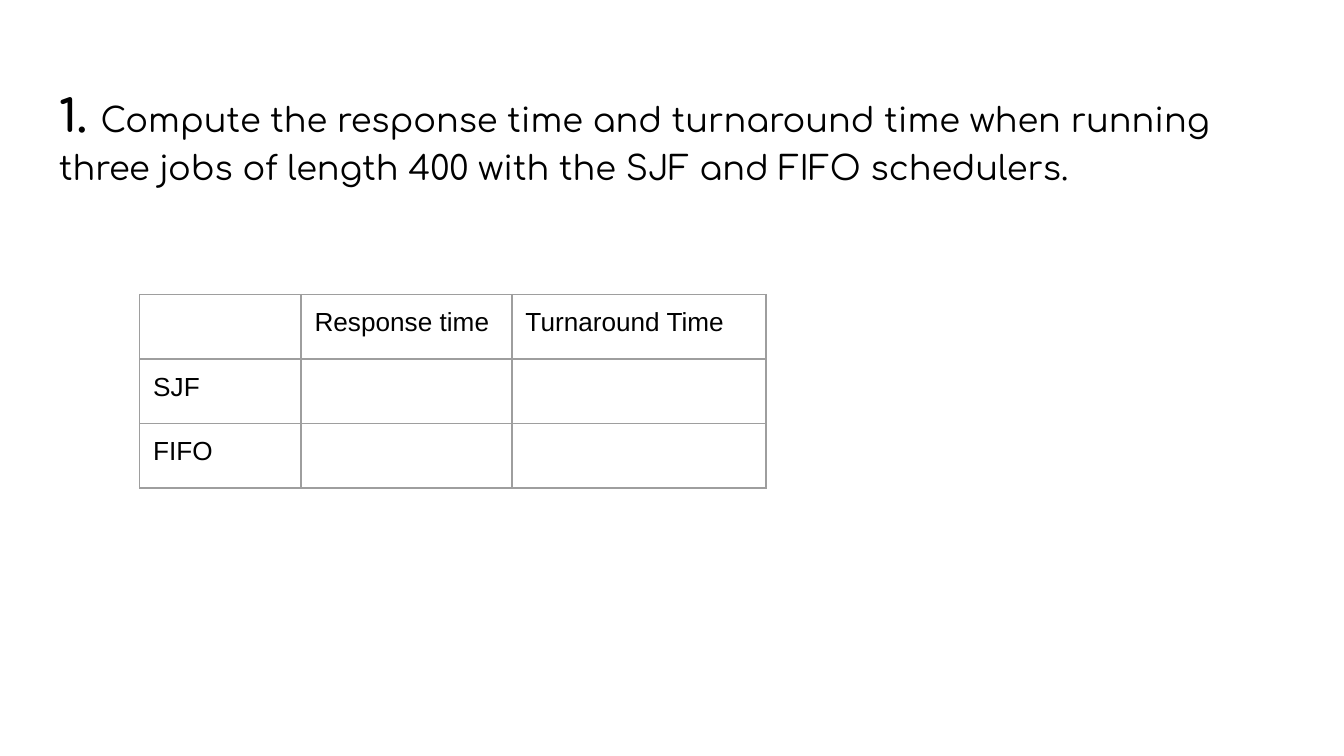
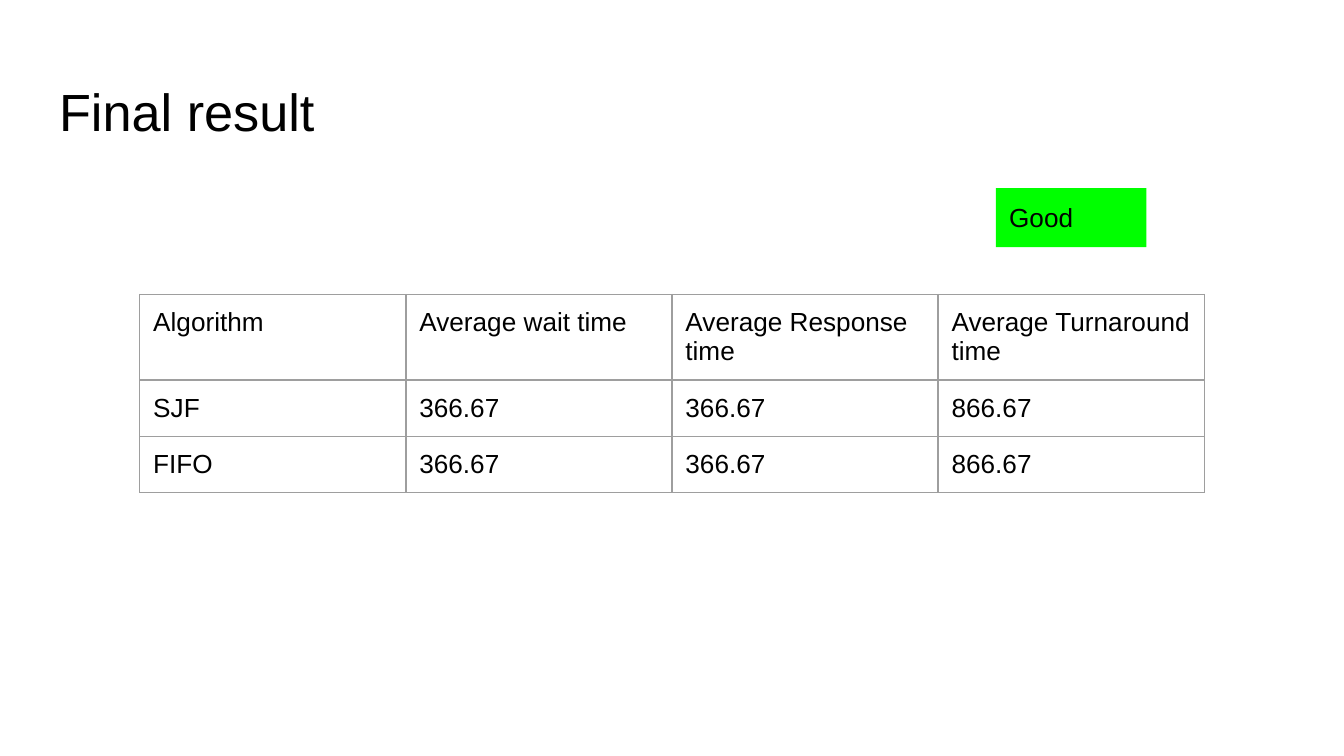
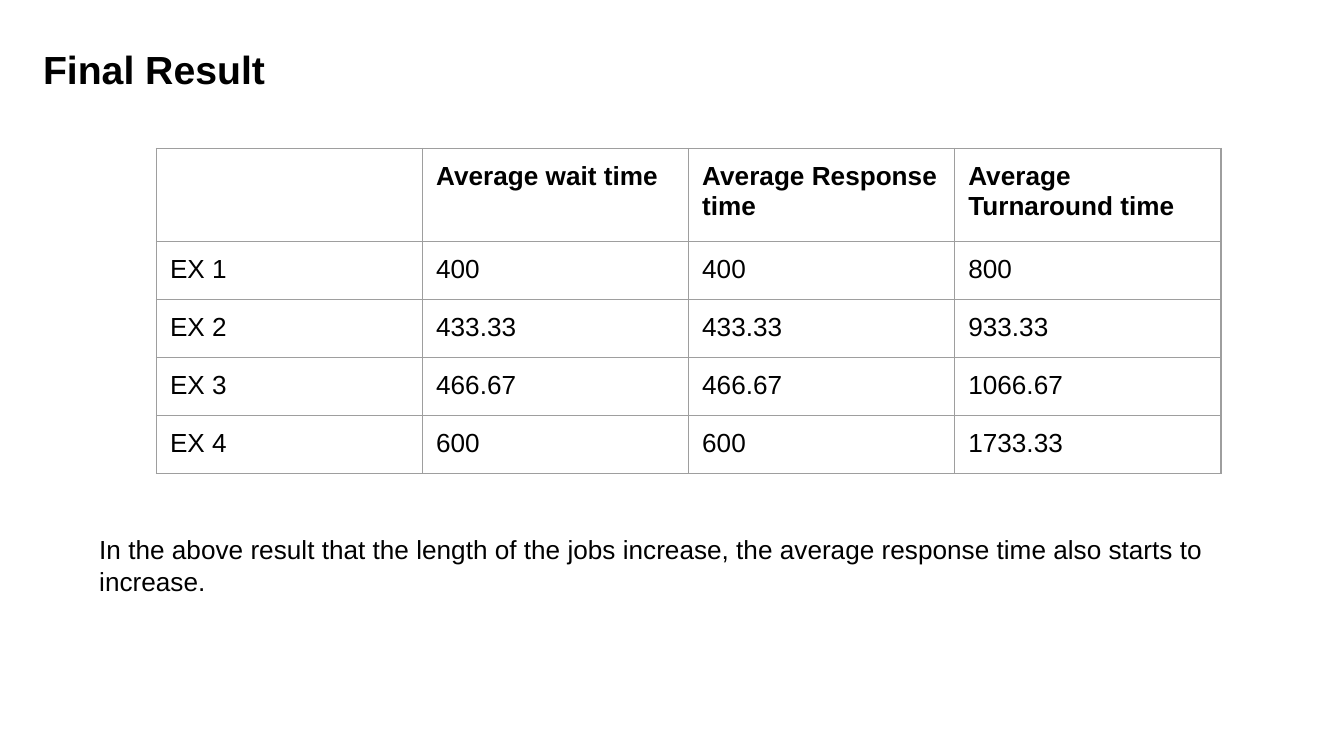
from lxml import etree
from pptx import Presentation, util as u
from pptx.dml.color import RGBColor
from pptx.enum import shapes, text
from pptx.oxml.ns import qn

BLACK = RGBColor(0x00, 0x00, 0x00)
GREEN = RGBColor(0x00, 0xFF, 0x00)
RULE = RGBColor(0x9E, 0x9E, 0x9E)

# The slide is a grid of square cells, 100 columns wide.
COLUMNS, ROWS = 100, 56.25
CELL = u.Inches(0.1)
INSET = 1
RULE_WIDTH = u.Pt(0.75)

BODY = {"name": "Arial", "size": u.Pt(14), "bold": False}
HEADING = BODY | {"bold": True}
TITLE = BODY | {"size": u.Pt(28)}
SUMMARY_TITLE = HEADING | {"size": u.Pt(21)}
QUESTION = {"name": "Comfortaa", "size": u.Pt(18), "bold": False}
QUESTION_NUMBER = QUESTION | {"size": u.Pt(24), "bold": True}

TITLE_BOX = (3.4, 4.9, 93.2, 6.3)
QUESTION_BOX = (3.4, 4.9, 93.2, 34.1)
TABLE_CORNER = (10.4, 21.9)
AVERAGES = ["Average wait time", "Average Response time", "Average Turnaround time"]
AVERAGE_COLUMNS = [19.8] * 4


def cells(count):
    return u.Emu(round(count * CELL))


def set_insets(holder):
    for side in ("left", "top", "right", "bottom"):
        setattr(holder, f"margin_{side}", cells(INSET))


def add_runs(paragraph, runs):
    """Append (words, font format) runs to a paragraph."""
    paragraph.alignment = text.PP_ALIGN.LEFT
    for words, font_format in runs:
        run = paragraph.add_run()
        run.text = words
        run.font.color.rgb = BLACK
        for attribute, value in font_format.items():
            setattr(run.font, attribute, value)


def write(frame, runs, line_spacing=1.0, auto_size=text.MSO_AUTO_SIZE.NONE):
    frame.word_wrap = True
    frame.auto_size = auto_size
    frame.vertical_anchor = text.MSO_ANCHOR.TOP
    set_insets(frame)
    frame.paragraphs[0].line_spacing = line_spacing
    add_runs(frame.paragraphs[0], runs)


def titled_slide(deck, box, runs, line_spacing=1.0):
    slide = deck.slides.add_slide(deck.slide_layouts[5])
    title = slide.shapes.title
    for attribute, length in zip(("left", "top", "width", "height"), box):
        setattr(title, attribute, cells(length))
    write(title.text_frame, runs, line_spacing)
    return slide


def rule_cell(cell):
    """Draw the four borders of a table cell and clear its fill."""
    properties = cell._tc.get_or_add_tcPr()
    for edge in ("a:lnL", "a:lnR", "a:lnT", "a:lnB"):
        line = etree.SubElement(properties, qn(edge), w=str(RULE_WIDTH))
        solid = etree.SubElement(line, qn("a:solidFill"))
        etree.SubElement(solid, qn("a:srgbClr"), val=str(RULE))
    cell.fill.background()


def size_empty_line(paragraph):
    """Give an empty cell the line height of 18-point Arial."""
    end = etree.SubElement(paragraph._p, qn("a:endParaRPr"), sz="1800")
    etree.SubElement(end, qn("a:latin"), typeface=BODY["name"])


def results_table(slide, corner, widths, heights, content, header=BODY):
    left, top = corner
    table = slide.shapes.add_table(
        len(heights), len(widths), cells(left), cells(top),
        cells(sum(widths)), cells(sum(heights))).table
    table.first_row = table.horz_banding = False
    for column, width in zip(table.columns, widths):
        column.width = cells(width)
    for row, height, entries in zip(table.rows, heights, content):
        row.height = cells(height)
        font_format = header if entries is content[0] else BODY
        for cell, entry in zip(row.cells, entries):
            rule_cell(cell)
            set_insets(cell)
            paragraph = cell.text_frame.paragraphs[0]
            if entry:
                add_runs(paragraph, [(entry, font_format)])
            else:
                size_empty_line(paragraph)


def verdict(slide, words, box):
    label = slide.shapes.add_shape(shapes.MSO_SHAPE.RECTANGLE, *map(cells, box))
    label.shadow.inherit = False
    label.fill.solid()
    label.fill.fore_color.rgb = GREEN
    label.line.fill.background()
    write(label.text_frame, [(words, BODY)],
          auto_size=text.MSO_AUTO_SIZE.SHAPE_TO_FIT_TEXT)


def conclusion(slide, words, box):
    note = slide.shapes.add_textbox(*map(cells, box))
    write(note.text_frame, [(words, BODY)],
          auto_size=text.MSO_AUTO_SIZE.SHAPE_TO_FIT_TEXT)


def question_slide(deck):
    slide = titled_slide(deck, QUESTION_BOX, [
        ("1. ", QUESTION_NUMBER),
        ("Compute the response time and turnaround time when running three jobs "
         "of length 400 with the SJF and FIFO schedulers.", QUESTION),
    ], line_spacing=1.15)
    results_table(slide, TABLE_CORNER, [12, 15.7, 18.9], [4.3] * 3, [
        ["", "Response time", "Turnaround Time"],
        ["SJF", "", ""],
        ["FIFO", "", ""],
    ])


def scheduler_result_slide(deck):
    slide = titled_slide(deck, TITLE_BOX, [("Final result", TITLE)])
    averages = ["366.67", "366.67", "866.67"]
    results_table(slide, TABLE_CORNER, AVERAGE_COLUMNS, [4.2] * 3, [
        ["Algorithm", *AVERAGES],
        ["SJF", *averages],
        ["FIFO", *averages],
    ])
    verdict(slide, "Good", (74.1, 14, 11.2, 4.4))


def summary_slide(deck):
    slide = titled_slide(deck, (2.2, 2.4, 51.7, 5.6), [("Final Result", SUMMARY_TITLE)])
    results_table(slide, (11.65, 11.05), AVERAGE_COLUMNS, [6.9] + [4.33] * 4, [
        ["", *AVERAGES],
        ["EX 1", "400", "400", "800"],
        ["EX 2", "433.33", "433.33", "933.33"],
        ["EX 3", "466.67", "466.67", "1066.67"],
        ["EX 4", "600", "600", "1733.33"],
    ], header=HEADING)
    conclusion(slide, "In the above result that the length of the jobs increase, "
               "the average response time also starts to increase.",
               (6.4, 38.7, 85.3, 6.7))


def main():
    deck = Presentation()
    deck.slide_width, deck.slide_height = cells(COLUMNS), cells(ROWS)
    for build in (question_slide, scheduler_result_slide, summary_slide):
        build(deck)
    deck.save("out.pptx")


if __name__ == "__main__":
    main()
